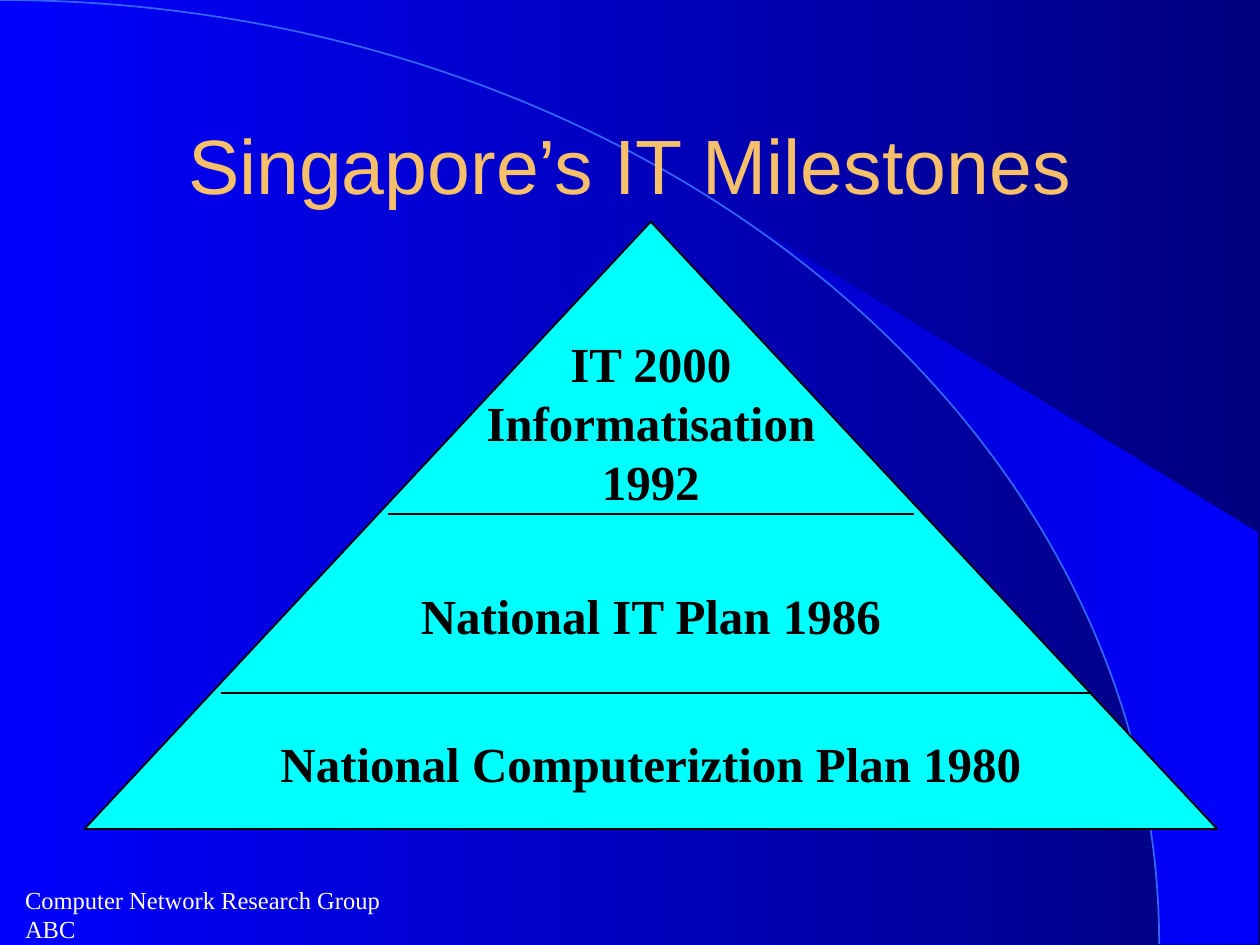
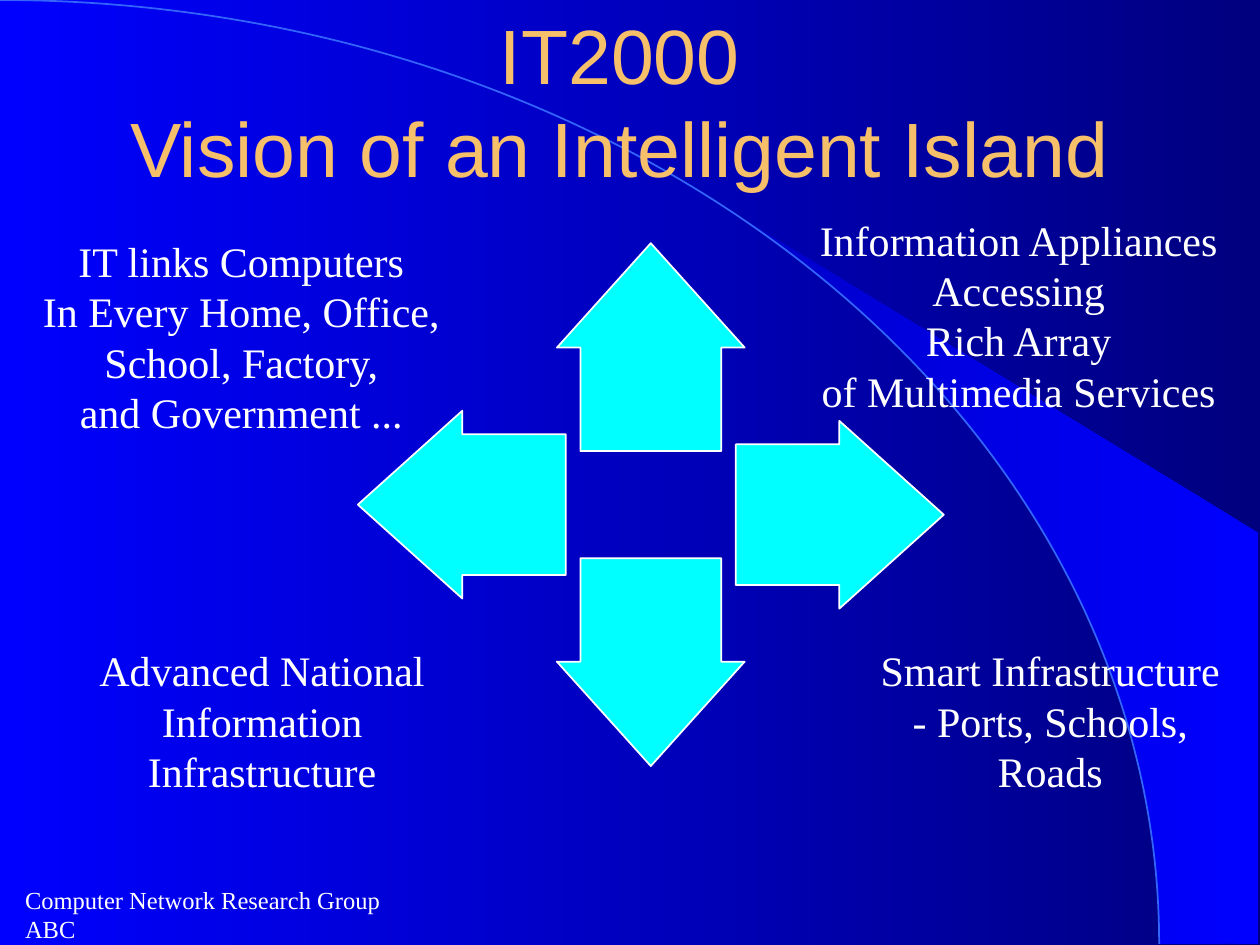
import math
from dataclasses import dataclass

from pptx import Presentation, util as u
from pptx.dml.color import RGBColor
from pptx.enum import shapes, text
from pptx.oxml.ns import qn
from lxml import etree


@dataclass(frozen=True)
class Theme:
    night: str = "00007E"
    blue: str = "0000FF"
    mid_blue: str = "0000CB"
    arc: str = "3365FB"
    gold: str = "F6BF69"
    cyan: str = "00FFFF"
    white: str = "FFFFFF"
    black: str = "000000"
    title_font: str = "Arial"
    body_font: str = "Times New Roman"
    title_size: int = 44
    level_size: int = 28
    body_size: int = 24
    footer_size: int = 14
    line_width: int = 1


T = Theme()
SLIDE_W, SLIDE_H = 10, 7.5
ARC_RX, ARC_RY = 9.2, 7.49


def rgb(value):
    return RGBColor.from_string(value)


def inches(*values):
    return [u.Inches(v) for v in values]


def set_gradient(fill, right, left):
    fill.gradient()
    fill.gradient_angle = 180
    for stop, color, position in zip(fill.gradient_stops, (right, left), (0, 1)):
        stop.color.rgb = rgb(color)
        stop.position = position


def set_line(line, color):
    line.color.rgb = rgb(color)
    line.width = u.Pt(T.line_width)


def add_text(s, box, content, size, color, font=T.body_font, bold=False,
             align=text.PP_ALIGN.CENTER, anchor=text.MSO_ANCHOR.TOP, wrap=False):
    tf = s.shapes.add_textbox(*inches(*box)).text_frame
    tf.word_wrap = wrap
    tf.vertical_anchor = anchor
    tf.text = content
    for p in tf.paragraphs:
        p.alignment = align
        for r in p.runs:
            r.font.name, r.font.size, r.font.bold = font, u.Pt(size), bold
            r.font.color.rgb = rgb(color)


def add_preset(s, kind, box, line, fill=None):
    sp = s.shapes.add_shape(kind, *inches(*box))
    sp.shadow.inherit = False
    if fill:
        sp.fill.solid()
        sp.fill.fore_color.rgb = rgb(fill)
    else:
        sp.fill.background()
    set_line(sp.line, line)
    return sp


def add_rule(s, x1, x2, y):
    line = s.shapes.add_connector(shapes.MSO_CONNECTOR.STRAIGHT, *inches(x1, y, x2, y))
    set_line(line.line, T.black)
    etree.SubElement(line._element.spPr, qn("a:effectLst"))


def add_wedge(s, right, corner_y, tip_x):
    """Fill the area between the arc and a slanted edge from its tip to the right side."""
    start = math.asin(tip_x / ARC_RX)
    steps = 24
    angles = [start + (math.pi / 2 - start) * i / steps for i in range(steps + 1)]
    curve = [(ARC_RX * math.sin(a), ARC_RY * (1 - math.cos(a))) for a in angles]
    points = [inches(*pt) for pt in curve + [(right, ARC_RY), (right, corner_y)]]
    builder = s.shapes.build_freeform(*points[0])
    builder.add_line_segments(points[1:], close=True)
    sp = builder.convert_to_shape()
    sp.shadow.inherit = False
    set_gradient(sp.fill, T.blue, T.mid_blue)
    sp.line.fill.background()


def add_base_slide(prs, title, title_box):
    s = prs.slides.add_slide(prs.slide_layouts[6])
    set_gradient(s.background.fill, T.night, T.blue)
    add_wedge(s, right=9.99, corner_y=4.23, tip_x=5.89)
    add_preset(s, shapes.MSO_SHAPE.ARC, (-ARC_RX, 0, 2 * ARC_RX, 2 * ARC_RY), T.arc)
    add_text(s, (0.1, 7.09, 3.38, 0.33), "Computer Network Research Group ABC",
             T.footer_size, T.white, align=text.PP_ALIGN.LEFT,
             anchor=text.MSO_ANCHOR.MIDDLE)
    add_text(s, title_box, title, T.title_size, T.gold, T.title_font,
             anchor=text.MSO_ANCHOR.MIDDLE, wrap=True)
    return s


def add_pyramid(s, box):
    x, y, w, h = box
    add_preset(s, shapes.MSO_SHAPE.ISOSCELES_TRIANGLE, box, T.black, T.cyan)
    levels = [
        ("IT 2000\nInformatisation\n1992", 0.84, 1.5),
        ("National IT Plan 1986", 2.84, 0.56),
        ("National Computeriztion Plan 1980", 4.01, 0.56),
    ]
    for label, top, height in levels:
        add_text(s, (x, y + top, w, height), label, T.level_size, T.black, bold=True)
    for left, right, top in ((2.41, 6.58, 2.32), (1.08, 8.0, 3.74)):
        add_rule(s, x + left, x + right, y + top)


def add_arrow_cross(s, box):
    """Place four arrows pointing outwards from the middle of the box."""
    x, y, w, h = box
    length, breadth = 1.65, 1.49
    reach_x, reach_y = (w - length) / 2, (h - length) / 2
    right_drop = 0.08
    arrows = [(270, 0, -reach_y), (90, 0, reach_y),
              (180, -reach_x, 0), (0, reach_x, right_drop)]
    for rotation, dx, dy in arrows:
        left = x + w / 2 + dx - length / 2
        top = y + h / 2 + dy - breadth / 2
        sp = add_preset(s, shapes.MSO_SHAPE.RIGHT_ARROW, (left, top, length, breadth),
                        T.white, T.cyan)
        sp.adjustments[0], sp.adjustments[1] = 0.75, 0.556
        sp.rotation = rotation


def milestones_slide(prs):
    s = add_base_slide(prs, "Singapore’s IT Milestones", (0.75, 0.67, 8.5, 1.25))
    add_pyramid(s, (0.67, 1.76, 8.99, 4.82))


def vision_slide(prs):
    s = add_base_slide(prs, "IT2000\vVision of an Intelligent Island",
                       (0.67, 0.17, 8.5, 1.25))
    add_arrow_cross(s, (2.84, 1.93, 4.65, 4.15))
    visions = [
        ((0.24, 1.82, 3.35, 1.7),
         "IT links Computers\nIn Every Home, Office,\nSchool, Factory,\nand Government ..."),
        ((0.69, 5.07, 2.78, 1.3), "Advanced National\nInformation\nInfrastructure"),
        ((6.4, 1.65, 3.37, 1.7),
         "Information Appliances\nAccessing\nRich Array\nof Multimedia Services"),
        ((6.89, 5.07, 2.89, 1.3), "Smart Infrastructure\n- Ports, Schools,\nRoads"),
    ]
    for box, content in visions:
        add_text(s, box, content, T.body_size, T.white)


def main():
    prs = Presentation()
    prs.slide_width, prs.slide_height = inches(SLIDE_W, SLIDE_H)
    milestones_slide(prs)
    vision_slide(prs)
    prs.save("out.pptx")


if __name__ == "__main__":
    main()
